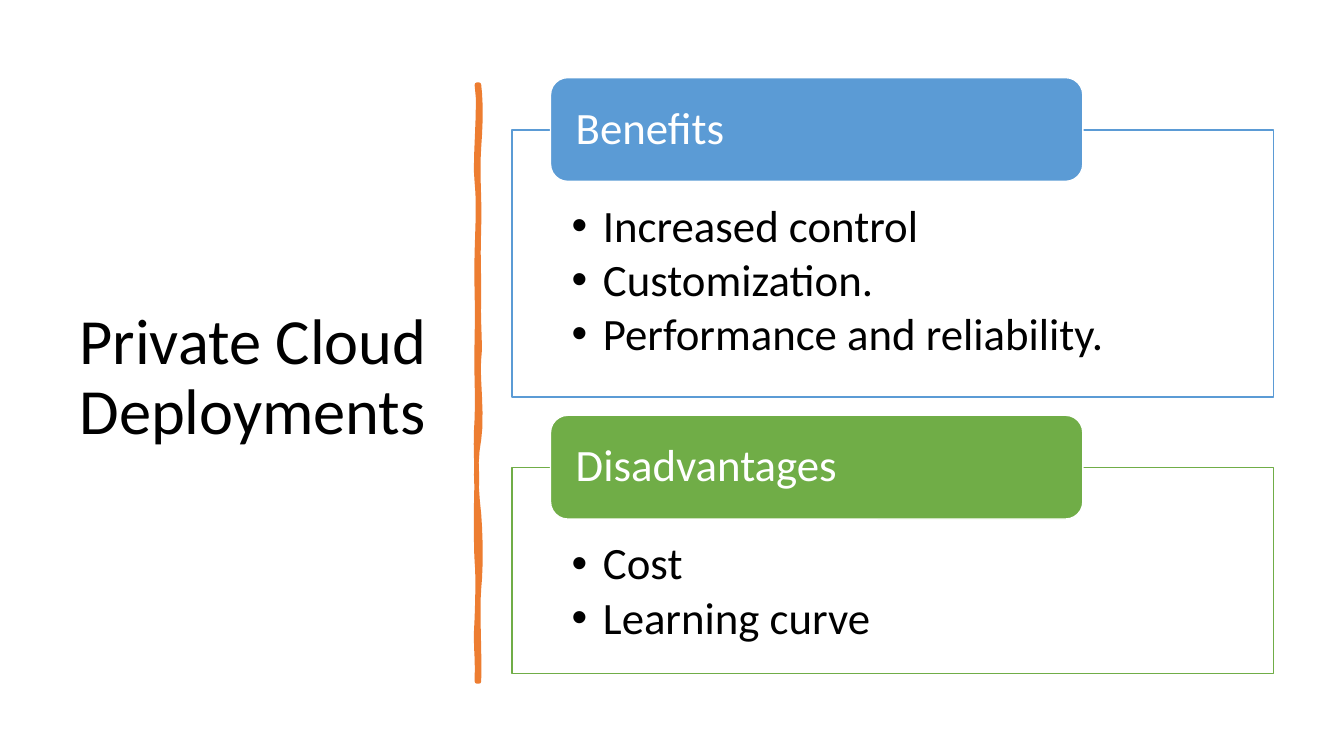
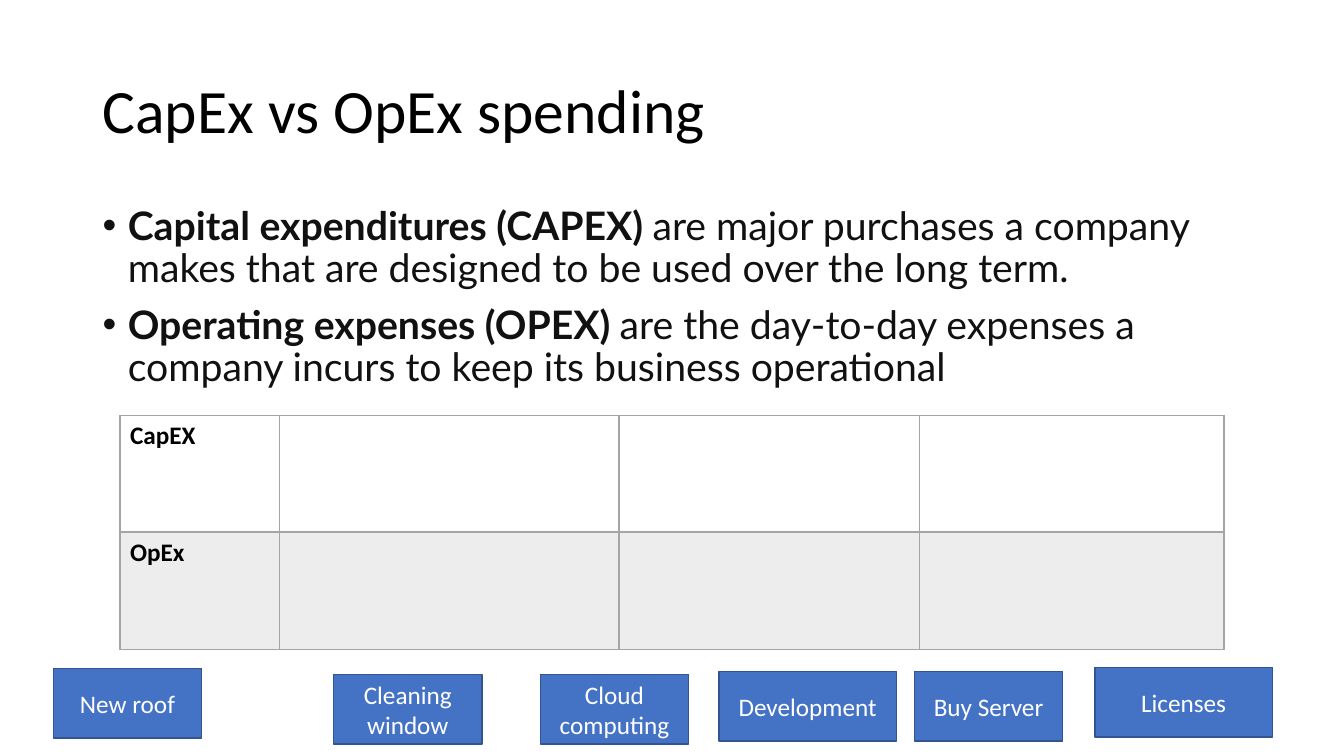
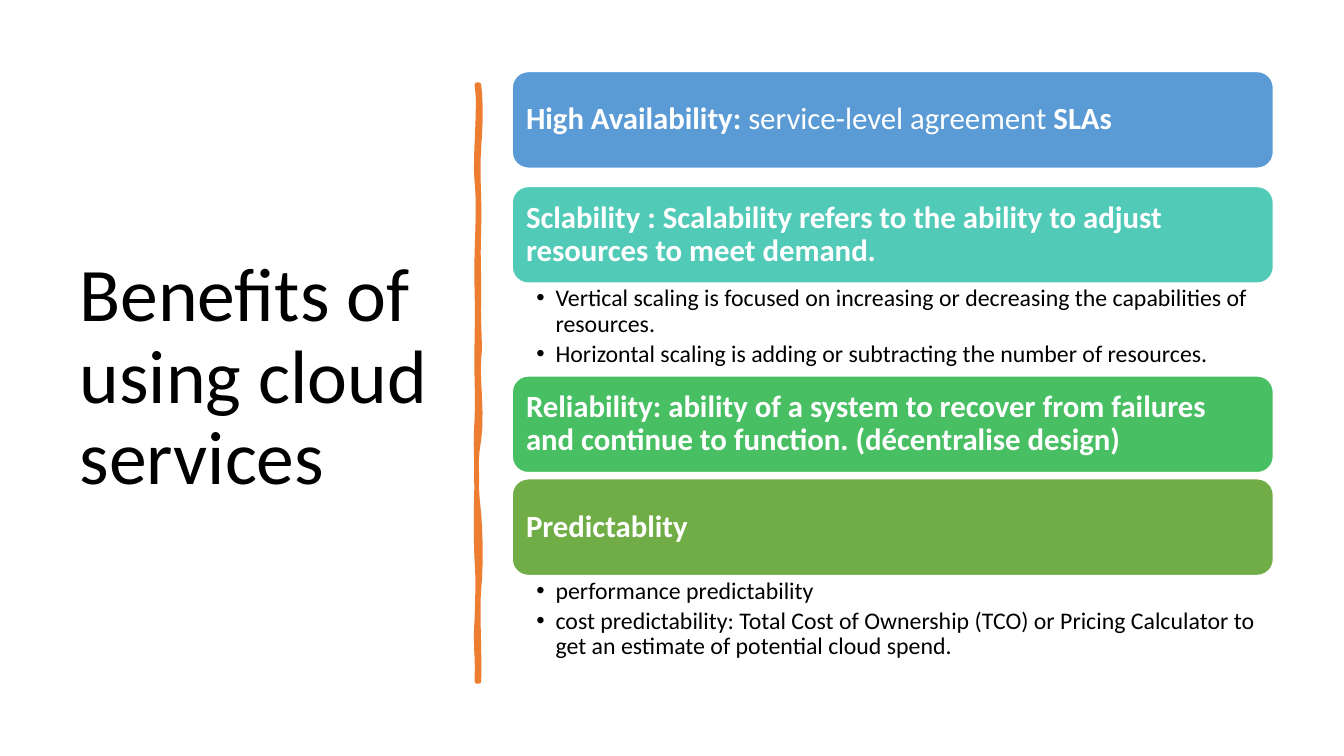
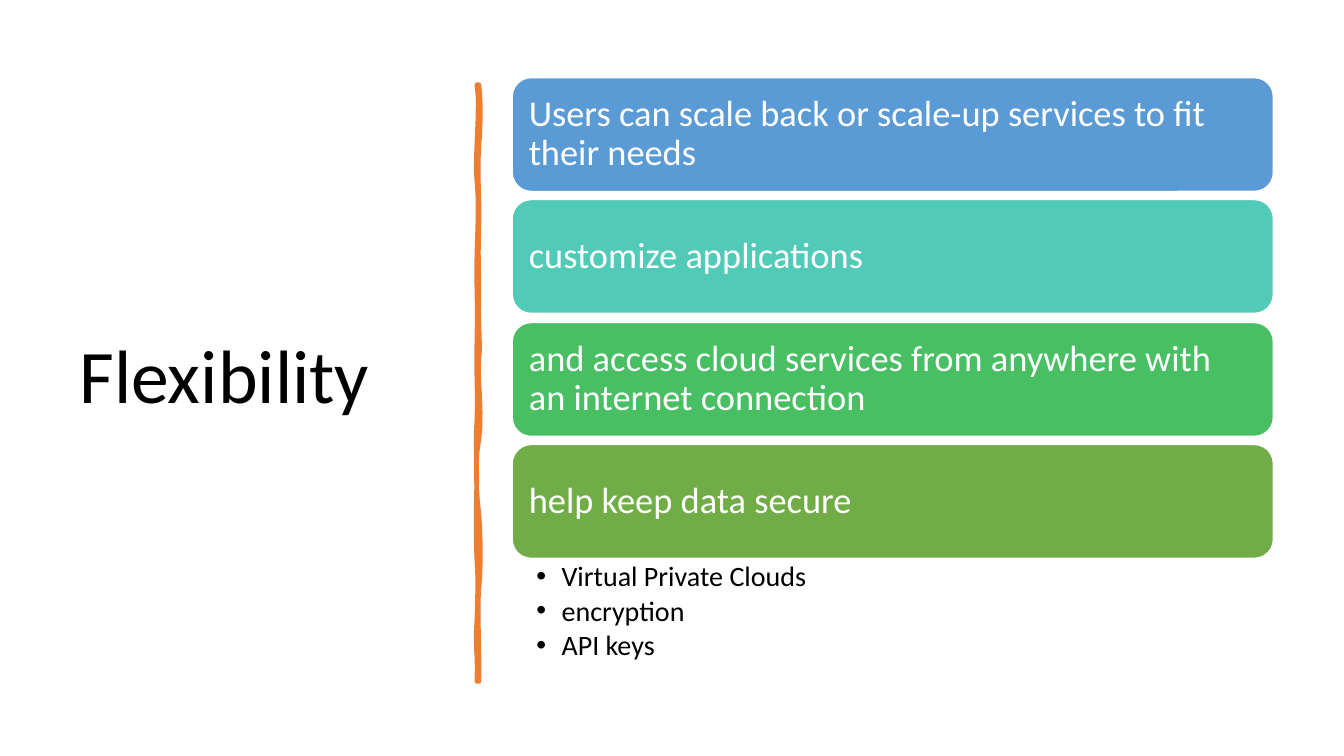
from dataclasses import dataclass
from typing import NamedTuple

from lxml import etree
from pptx import Presentation, util as u
from pptx.dml.color import RGBColor
from pptx.enum import shapes, text
from pptx.oxml import ns

SCALE = 9144


@dataclass(frozen=True)
class Theme:
    """Colours, fonts and type sizes shared by the slides."""
    black: str = "000000"
    ink: str = "111111"
    white: str = "FFFFFF"
    blue: str = "5B9BD5"
    teal: str = "52CAB8"
    mint: str = "49BF64"
    green: str = "70AD47"
    orange: str = "ED7D31"
    tag: str = "4472C4"
    tag_edge: str = "325491"
    grid: str = "A5A5A5"
    shade: str = "EDEDED"
    head_font: str = "Calibri"
    body_font: str = "Lato"
    title: int = 44
    title_small: int = 46
    title_large: int = 54
    panel: int = 32
    body: int = 28
    label: int = 18
    edge: int = 1
    brush: float = 3.25


THEME = Theme()


class Box(NamedTuple):
    """A rectangle in px."""
    left: int
    top: int
    width: int
    height: int


@dataclass(frozen=True)
class Style:
    """How the paragraphs of one text frame look."""
    size: int
    color: str = THEME.black
    font: str = THEME.head_font
    spacing: float = 0.9
    before: int = 0
    after: int = 0
    indent: int = 0
    align: text.PP_ALIGN = text.PP_ALIGN.LEFT
    anchor: text.MSO_ANCHOR = text.MSO_ANCHOR.TOP
    insets: tuple = (10, 5, 10, 5)


@dataclass(frozen=True)
class StackLook:
    """Measures of a stack of cards with lists between them."""
    card_height: int
    list_height: int
    card: Style
    items: Style


SIDE_TITLE = Box(69, 70, 374, 611)
MIDDLE = text.MSO_ANCHOR.MIDDLE
TAB_STYLE = Style(THEME.panel, THEME.white, anchor=MIDDLE, insets=(20, 0, 20, 0))
PANEL_STYLE = Style(THEME.panel, after=4, indent=31, insets=(59, 73, 59, 25))
BODY_STYLE = Style(THEME.body, THEME.ink, THEME.body_font, before=10, indent=25)
CELL_STYLE = Style(THEME.label, spacing=1)
TAG_STYLE = Style(THEME.label, THEME.white, spacing=1,
                  align=text.PP_ALIGN.CENTER, anchor=MIDDLE)
DENSE_STACK = StackLook(
    96, 92, Style(22, THEME.white, anchor=MIDDLE, insets=(9, 9, 9, 9)),
    Style(17, after=3, indent=19, insets=(24, 3, 17, 3)))
OPEN_STACK = StackLook(
    113, 115, Style(26, THEME.white, anchor=MIDDLE, insets=(11, 11, 11, 11)),
    Style(20, after=3, indent=25, insets=(24, 4, 20, 4)))

BRUSH_START = (475, 84)
BRUSH_CURVES = [
    ((477, 102), (477, 119), (475, 146)), ((473, 173), (476, 195), (475, 226)),
    ((474, 257), (475, 262), (475, 294)), ((474, 325), (477, 342), (475, 356)),
    ((473, 370), (479, 414), (475, 436)), ((471, 457), (472, 484), (475, 510)),
    ((477, 536), (477, 564), (475, 584)), ((473, 603), (476, 650), (475, 676)),
    ((474, 676), (473, 676), (473, 676)), ((474, 646), (471, 644), (473, 613)),
    ((474, 583), (474, 570), (473, 557)), ((472, 544), (472, 495), (473, 477)),
    ((473, 459), (471, 445), (473, 415)), ((474, 386), (472, 373), (473, 335)),
    ((474, 298), (472, 281), (473, 250)), ((474, 218), (475, 200), (473, 181)),
    ((470, 163), (477, 104), (473, 84)), ((474, 84), (474, 84), (475, 84)),
]


def emu(px):
    """Turn px into EMU."""
    return u.Emu(round(px * SCALE))


def place(box):
    """Turn a box into four EMU lengths."""
    return [emu(length) for length in box]


def rgb(value):
    """Turn a hex value into a colour."""
    return RGBColor.from_string(value)


def add_bullet(para, indent):
    """Hang a round bullet in front of a paragraph."""
    props = para._p.get_or_add_pPr()
    props.set("marL", str(emu(indent)))
    props.set("indent", str(-emu(indent)))
    etree.SubElement(props, ns.qn("a:buFont"), typeface="Arial")
    etree.SubElement(props, ns.qn("a:buChar"), char="•")


def write(frame, paragraphs, style):
    """Fill a text frame; a paragraph is a string or a list of (text, bold)."""
    frame.word_wrap = True
    for index, content in enumerate(paragraphs):
        para = frame.paragraphs[0] if index == 0 else frame.add_paragraph()
        if style.indent:
            add_bullet(para, style.indent)
        para.alignment = style.align
        para.line_spacing = style.spacing
        para.space_before = u.Pt(style.before if index else 0)
        para.space_after = u.Pt(style.after)
        runs = [(content, False)] if isinstance(content, str) else content
        for words, bold in runs:
            span = para.add_run()
            span.text = words
            span.font.name = style.font
            span.font.size = u.Pt(style.size)
            span.font.bold = bold
            span.font.color.rgb = rgb(style.color)


def fit(frame, style):
    """Set the insets and anchor of a shape's text frame."""
    frame.vertical_anchor = style.anchor
    (frame.margin_left, frame.margin_top,
     frame.margin_right, frame.margin_bottom) = place(style.insets)


def text_box(page, box, paragraphs, style):
    """Place plain text in a box."""
    frame = page.shapes.add_textbox(*place(box)).text_frame
    fit(frame, style)
    write(frame, paragraphs, style)


def paint(shape, fill, line, width):
    """Give a shape a flat fill and line."""
    shape.shadow.inherit = False
    shape.fill.solid()
    shape.fill.fore_color.rgb = rgb(fill)
    shape.line.color.rgb = rgb(line)
    shape.line.width = u.Pt(width)


def block(page, box, paragraphs, style, fill, line, rounded=False):
    """Place a filled rectangle with text."""
    kinds = shapes.MSO_SHAPE
    kind = kinds.ROUNDED_RECTANGLE if rounded else kinds.RECTANGLE
    shape = page.shapes.add_shape(kind, *place(box))
    paint(shape, fill, line, THEME.edge)
    fit(shape.text_frame, style)
    write(shape.text_frame, paragraphs, style)


def title(page, box, words, size):
    """Place a slide title."""
    text_box(page, box, [words], Style(size, anchor=MIDDLE))


def curve_points(start, curves, steps=6):
    """Sample a chain of cubic curves."""
    points = []
    for first, second, end in curves:
        for step in range(1, steps + 1):
            t = step / steps
            weights = ((1 - t) ** 3, 3 * t * (1 - t) ** 2, 3 * t * t * (1 - t), t ** 3)
            knots = (start, first, second, end)
            points.append(tuple(
                emu(sum(w * knot[axis] for w, knot in zip(weights, knots)))
                for axis in (0, 1)))
        start = end
    return points


def brush_rule(page):
    """Draw the upright brush stroke beside a side title."""
    builder = page.shapes.build_freeform(*[emu(px) for px in BRUSH_START], scale=1.0)
    builder.add_line_segments(curve_points(BRUSH_START, BRUSH_CURVES), close=True)
    paint(builder.convert_to_shape(), THEME.orange, THEME.orange, THEME.brush)


def side_title_page(page, words, size):
    """Place the side title and its brush stroke."""
    title(page, SIDE_TITLE, words, size)
    brush_rule(page)


def tabbed_panel(page, box, heading, items, color):
    """Place an outlined list with a heading tab over its top edge."""
    block(page, box, items, PANEL_STYLE, THEME.white, color)
    tab = Box(box.left + 38, box.top - 52, box.width * 7 // 10, 103)
    block(page, tab, [heading], TAB_STYLE, color, THEME.white, rounded=True)


def card_stack(page, box, look, entries):
    """Stack cards down a box, each as (gap above, colour, heading, items)."""
    top = box.top
    for gap, color, heading, items in entries:
        top += gap
        block(page, Box(box.left, top, box.width, look.card_height),
              [heading], look.card, color, THEME.white, rounded=True)
        top += look.card_height
        if items:
            text_box(page, Box(box.left, top, box.width, look.list_height),
                     items, look.items)
            top += look.list_height


def cell_borders(cell, widths):
    """Draw the left, right, top and bottom borders of a cell."""
    props = cell._tc.get_or_add_tcPr()
    for side, width in zip("LRTB", widths):
        line = etree.SubElement(props, ns.qn(f"a:ln{side}"), w=str(u.Pt(width)))
        fill = etree.SubElement(line, ns.qn("a:solidFill"))
        etree.SubElement(fill, ns.qn("a:srgbClr"), val=THEME.grid)


def spending_table(page, box, columns, labels):
    """Place a table with a label in the first cell of each row."""
    table = page.shapes.add_table(len(labels), len(columns), *place(box)).table
    table.first_row = table.horz_banding = False
    for column, width in zip(table.columns, columns):
        column.width = emu(width)
    for index, label in enumerate(labels):
        row = table.rows[index]
        row.height = emu(box.height // len(labels))
        for cell in row.cells:
            cell_borders(cell, (1, 1, 1 if index == 0 else 2, 2 if index == 0 else 1))
            cell.fill.solid()
            cell.fill.fore_color.rgb = rgb(THEME.shade if index % 2 else THEME.white)
        write(row.cells[0].text_frame, [[(label, True)]], CELL_STYLE)


def tags(page, entries):
    """Place the loose tags, each as (left, top, width, words)."""
    for left, top, width, words in entries:
        block(page, Box(left, top, width, 69), [words], TAG_STYLE,
              THEME.tag, THEME.tag_edge)


def private_cloud(page):
    """Build the private cloud slide."""
    side_title_page(page, "Private Cloud Deployments", THEME.title_small)
    tabbed_panel(page, Box(508, 129, 755, 265), "Benefits",
                 ["Increased control", "Customization.", "Performance and reliability."],
                 THEME.blue)
    tabbed_panel(page, Box(508, 464, 755, 204), "Disadvantages",
                 ["Cost", "Learning curve"], THEME.green)


def spending(page):
    """Build the spending slide."""
    title(page, Box(92, 40, 1150, 145), "CapEx vs OpEx spending", THEME.title)
    text_box(page, Box(92, 200, 1150, 476), [
        [("Capital expenditures (CAPEX) ", True),
         ("are major purchases a company makes that are designed to be used "
          "over the long term.", False)],
        [("Operating expenses (OPEX) ", True),
         ("are the day-to-day expenses a company incurs to keep its business "
          "operational", False)],
    ], BODY_STYLE)
    spending_table(page, Box(119, 412, 1095, 232), (158, 337, 298, 302),
                   ("CapEX", "OpEx"))
    tags(page, [
        (53, 663, 147, "New roof"),
        (331, 669, 147, "Cleaning window"),
        (536, 669, 147, "Cloud computing"),
        (713, 666, 176, "Development"),
        (907, 666, 147, "Buy Server"),
        (1086, 662, 176, "Licenses"),
    ])


def cloud_benefits(page):
    """Build the cloud benefits slide."""
    side_title_page(page, "Benefits of using cloud services", THEME.title_large)
    card_stack(page, Box(508, 71, 755, 592), DENSE_STACK, [
        (0, THEME.blue, [("High Availability: ", True),
                         ("service-level agreement ", False), ("SLAs", True)], []),
        (18, THEME.teal, [("Sclability : Scalability refers to the ability to adjust "
                           "resources to meet demand.", True)],
         ["Vertical scaling is focused on increasing or decreasing the "
          "capabilities of resources.",
          "Horizontal scaling is adding or subtracting the number of resources."]),
        (0, THEME.mint, [("Reliability: ability of a system to recover from failures "
                          "and continue to function. (décentralise design)", True)], []),
        (6, THEME.green, [("Predictablity", True)],
         ["performance predictability",
          "cost predictability: Total Cost of Ownership (TCO) or Pricing "
          "Calculator to get an estimate of potential cloud spend."]),
    ])


def flexibility(page):
    """Build the flexibility slide."""
    side_title_page(page, "Flexibility", THEME.title_large)
    card_stack(page, Box(508, 77, 755, 592), OPEN_STACK, [
        (0, THEME.blue,
         "Users can scale back or scale-up services to fit their needs", []),
        (8, THEME.teal, "customize applications", []),
        (9, THEME.mint,
         "and access cloud services from anywhere with an internet connection", []),
        (8, THEME.green, "help keep data secure",
         ["Virtual Private Clouds", "encryption", "API keys"]),
    ])


def main():
    """Build and save the deck."""
    deck = Presentation()
    deck.slide_width, deck.slide_height = emu(1333), emu(750)
    for build in (private_cloud, spending, cloud_benefits, flexibility):
        build(deck.slides.add_slide(deck.slide_layouts[6]))
    deck.save("out.pptx")


if __name__ == "__main__":
    main()
